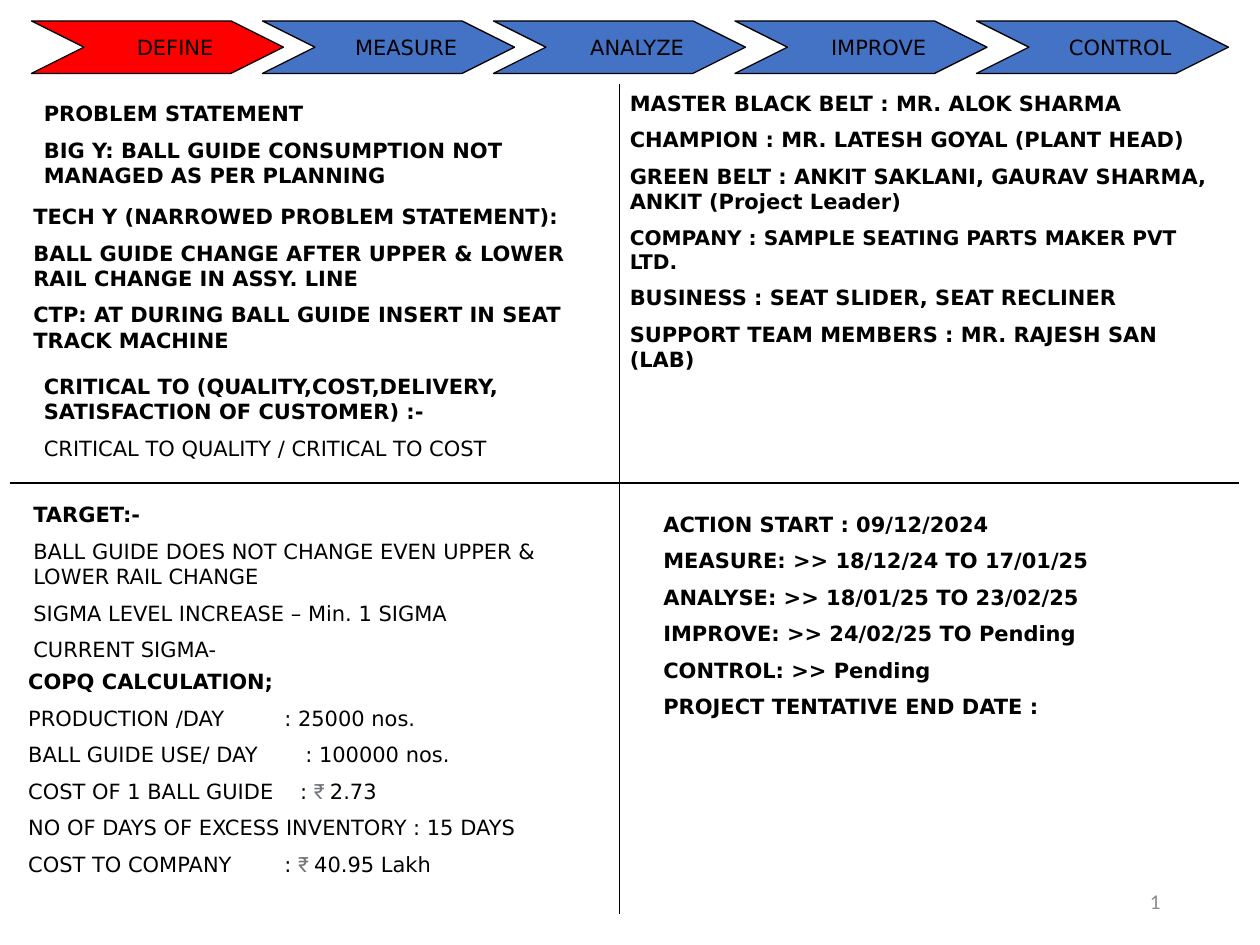
from dataclasses import dataclass
from lxml import etree
from pptx import Presentation, util as u
from pptx.dml.color import RGBColor as Rgb
from pptx.enum import shapes as sh, text as tx
from pptx.oxml.ns import qn


@dataclass(frozen=True)
class Theme:
    font: str = "DejaVu Sans"
    sign: str = "Roboto"
    num: str = "Calibri"
    ink: str = "000000"
    now: str = "FF0000"
    step: str = "4472C4"
    mute: str = "71777D"
    gray: str = "8C8C8C"
    size: float = 12
    small: float = 11.5
    gap: float = 6.5
    line: float = 0.75


T = Theme()

# Content: places are in cells of a 120 by 90 grid
STEPS = [("DEFINE", 3), ("MEASURE", 25), ("ANALYZE", 47), ("IMPROVE", 70), ("CONTROL", 93)]
RULES = [(59, 8, 59, 87), (1, 46, 118, 46)]
# Each block: place, bold lines, plain lines
BLOCKS = [
    ((58.8, 8, 59, 32.5), [
        "MASTER BLACK BELT : MR. ALOK SHARMA",
        "CHAMPION : MR. LATESH GOYAL (PLANT HEAD)",
        "GREEN BELT : ANKIT SAKLANI, GAURAV SHARMA, ANKIT (Project Leader)",
        "COMPANY : SAMPLE SEATING PARTS MAKER PVT LTD.",
        "BUSINESS : SEAT SLIDER, SEAT RECLINER",
        "SUPPORT TEAM MEMBERS : MR. RAJESH SAN (LAB)"], []),
    ((3, 9, 55, 9.7), [
        "PROBLEM STATEMENT",
        "BIG Y: BALL GUIDE CONSUMPTION NOT MANAGED AS PER PLANNING"], []),
    ((2, 18.8, 55, 19.4), [
        "TECH Y (NARROWED PROBLEM STATEMENT):",
        "BALL GUIDE CHANGE AFTER UPPER & LOWER RAIL CHANGE IN ASSY. LINE",
        "CTP: AT DURING BALL GUIDE INSERT IN SEAT TRACK MACHINE"], []),
    ((3, 35, 55, 9.7),
        ["CRITICAL TO (QUALITY,COST,DELIVERY, SATISFACTION OF CUSTOMER) :-"],
        ["CRITICAL TO QUALITY / CRITICAL TO COST"]),
    ((2, 47.2, 55, 16.9), ["TARGET:-"], [
        "BALL GUIDE DOES NOT CHANGE EVEN UPPER & LOWER RAIL CHANGE",
        "SIGMA LEVEL INCREASE – Min. 1 SIGMA",
        "CURRENT SIGMA-"]),
    ((62, 48.1, 55, 29), [
        "ACTION START : 09/12/2024",
        "MEASURE: >> 18/12/24 TO 17/01/25",
        "ANALYSE: >> 18/01/25 TO 23/02/25",
        "IMPROVE: >> 24/02/25 TO Pending",
        "CONTROL: >> Pending",
        "PROJECT TENTATIVE END DATE :"], []),
    ((1.5, 63.1, 57, 21.8), ["COPQ CALCULATION;"], [
        "PRODUCTION /DAY\t: 25000 nos.",
        "BALL GUIDE USE/ DAY\t: 100000 nos.",
        "COST OF 1 BALL GUIDE\t: ₹ 2.73",
        "NO OF DAYS OF EXCESS INVENTORY : 15 DAYS",
        "COST TO COMPANY\t: ₹ 40.95 Lakh"]),
]
TABS = {"PRODUCTION": 24.4, "BALL GUIDE USE": 26.4, "COST OF": 25.9, "COST TO": 24.4}
PAGE = (84.7, 83.4, 27, 4.8)

prs = Presentation()
prs.slide_width, prs.slide_height = u.Inches(10), u.Inches(7.5)
page = prs.slides.add_slide(prs.slide_layouts[6])
CELL = prs.slide_width / 120


def cells(*vals):
    return [round(v * CELL) for v in vals]


def style(font, name=T.font, color=T.ink, bold=False, size=T.size):
    font.name, font.size, font.bold = name, u.Pt(size), bold
    font.color.rgb = Rgb.from_string(color)


def add_box(place):
    frame = page.shapes.add_textbox(*cells(*place)).text_frame
    frame.word_wrap = True
    return frame


def add_tab(para, pos):
    tabs = etree.SubElement(para._p.get_or_add_pPr(), qn("a:tabLst"))
    etree.SubElement(tabs, qn("a:tab"), pos=str(cells(pos)[0]), algn="l")


def add_line(para, line, bold):
    for key, pos in TABS.items():
        if line.startswith(key) and "\t" in line:
            add_tab(para, pos)
    style(para.font, bold=bold, size=T.small if line.startswith("COMPANY") else T.size)
    head, sign, tail = line.partition("₹ ")
    for part in filter(None, (head, sign, tail)):
        run = para.add_run()
        run.text = part
        if part == sign:
            run.font.name = T.sign
            run.font.color.rgb = Rgb.from_string(T.mute)


# Phase arrows
for i, (name, left) in enumerate(STEPS):
    arrow = page.shapes.add_shape(sh.MSO_SHAPE.CHEVRON, *cells(left, 2, 24, 5))
    arrow.adjustments[0] = 1
    arrow.shadow.inherit = False
    arrow.fill.solid()
    arrow.fill.fore_color.rgb = Rgb.from_string(T.step if i else T.now)
    arrow.line.color.rgb = Rgb.from_string(T.ink)
    arrow.line.width = u.Pt(T.line)
    frame = arrow.text_frame
    frame.word_wrap = False
    frame.margin_left = u.Inches(0.38)
    frame.vertical_anchor = tx.MSO_ANCHOR.MIDDLE
    para = frame.paragraphs[0]
    para.text, para.alignment = name, tx.PP_ALIGN.CENTER
    style(para.font)

# Quadrant rules
for ends in RULES:
    rule = page.shapes.add_connector(sh.MSO_CONNECTOR.STRAIGHT, *cells(*ends))
    rule.line.color.rgb = Rgb.from_string(T.ink)
    rule.line.width = u.Pt(T.line)
    etree.SubElement(rule._element.spPr, qn("a:effectLst"))

# Text blocks
for place, strong, plain in BLOCKS:
    frame = add_box(place)
    frame.auto_size = tx.MSO_AUTO_SIZE.SHAPE_TO_FIT_TEXT
    for i, line in enumerate(strong + plain):
        para = frame.add_paragraph() if i else frame.paragraphs[0]
        if i:
            para.space_before = u.Pt(T.gap)
        add_line(para, line, i < len(strong))

# Slide number, as a live field
frame = add_box(PAGE)
frame.vertical_anchor = tx.MSO_ANCHOR.MIDDLE
para = frame.paragraphs[0]
para.alignment = tx.PP_ALIGN.RIGHT
run = para.add_run()
run.text = "1"
style(run.font, T.num, T.gray)
run._r.tag = qn("a:fld")
run._r.set("id", "{B6F15528-21DE-4FAA-801E-634DDDAF4B2B}")
run._r.set("type", "slidenum")

prs.save("out.pptx")
